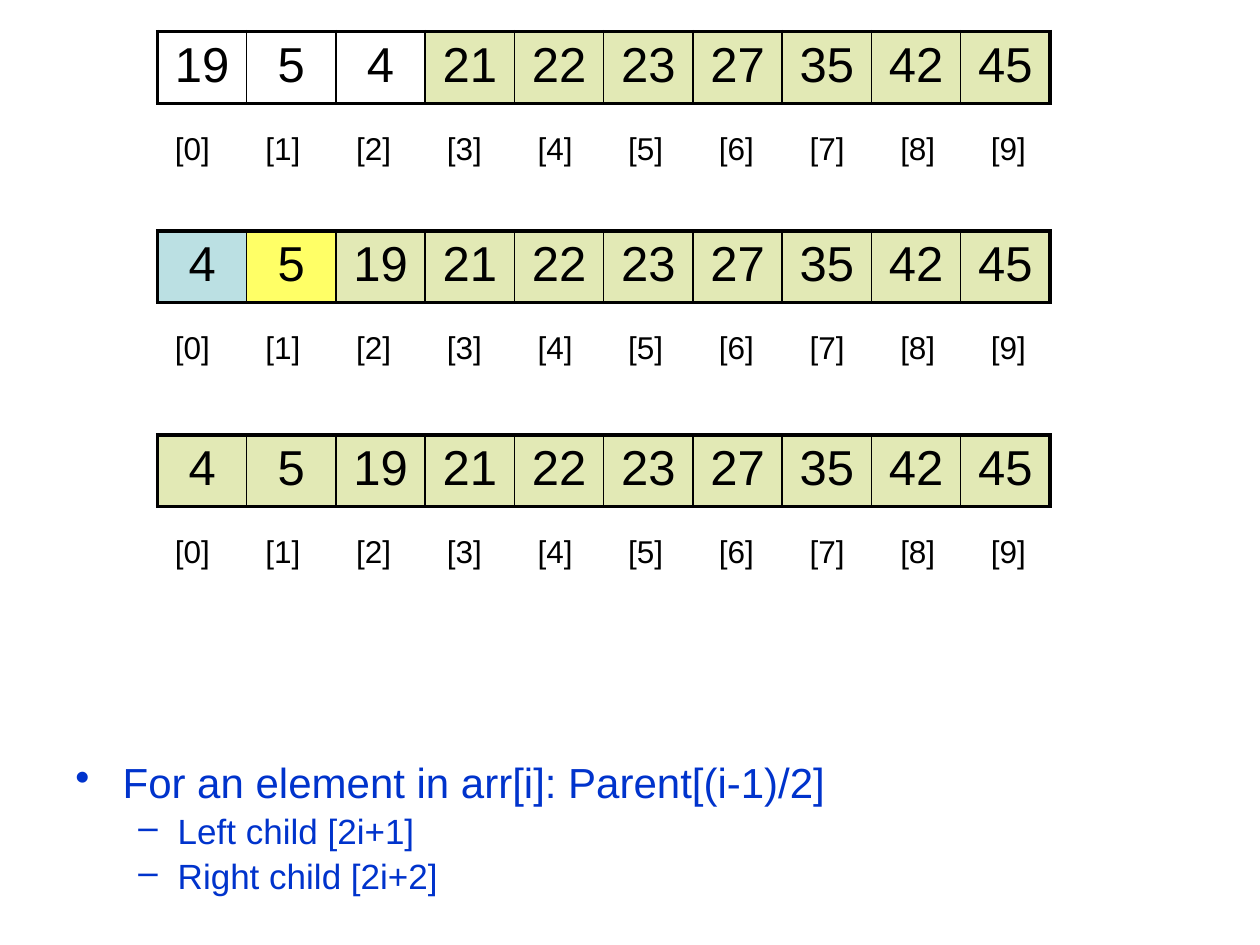
from lxml import etree
from pptx import Presentation
from pptx.dml.color import RGBColor
from pptx.enum import text
from pptx.oxml import ns
from pptx.util import Pt

COLORS = {
    "ink": "000000",
    "blue": "0033CC",
    "sorted": "E2E9B5",
    "root": "BBE0E3",
    "last": "FFFF66",
}
NO_STYLE = "{2D5ABB26-0587-4C30-8999-92F81FD0307C}"
THICK, THIN = 2.25, 1

SORTED_TAIL = [21, 22, 23, 27, 35, 42, 45]
# Top of each array, its first three values and their fills
STEPS = [
    (18, [19, 5, 4], [None, None, None]),
    (132, [4, 5, 19], ["root", "last", "sorted"]),
    (248.5, [4, 5, 19], ["sorted", "sorted", "sorted"]),
]
INDEX_OFFSET = 53
# Text, level, size, left margin, hanging indent, bullet
RULES = [
    ("For an element in arr[i]: Parent[(i-1)/2]", 0, 24, 27, 27, "•"),
    ("Left child [2i+1]", 1, 20, 58.5, 22.5, "–"),
    ("Right child [2i+2]", 1, 20, 58.5, 22.5, "–"),
]


def write(paragraph, words, size, color="ink", align=None):
    paragraph.alignment = align
    run = paragraph.add_run()
    run.text = words
    run.font.name = "Arial"
    run.font.size = Pt(size)
    run.font.color.rgb = RGBColor.from_string(COLORS[color])


def set_bullet(paragraph, margin, hanging, character):
    properties = paragraph._p.get_or_add_pPr()
    properties.set("marL", str(Pt(margin)))
    properties.set("indent", str(-Pt(hanging)))
    bullet = etree.SubElement(properties, ns.qn("a:buChar"))
    bullet.set("char", character)


def set_borders(cell, **widths):
    """Draw solid borders; keywords are L, R, T and B, in schema order."""
    properties = cell._tc.get_or_add_tcPr()
    for side, width in widths.items():
        line = etree.SubElement(properties, ns.qn(f"a:ln{side}"), w=str(Pt(width)))
        fill = etree.SubElement(line, ns.qn("a:solidFill"))
        etree.SubElement(fill, ns.qn("a:srgbClr"), val=COLORS["ink"])


def add_row(slide, left, top, column_width, height, words, size):
    """Add a plain one-row table and return its cells."""
    count = len(words)
    table = slide.shapes.add_table(
        1, count, Pt(left), Pt(top), Pt(column_width * count), Pt(height)
    ).table
    table.first_row = table.horz_banding = False
    table._tbl.tblPr.find(ns.qn("a:tableStyleId")).text = NO_STYLE
    for column in table.columns:
        column.width = Pt(column_width)
    cells = list(table.iter_cells())
    for cell, word in zip(cells, words):
        write(cell.text_frame.paragraphs[0], word, size, align=text.PP_ALIGN.CENTER)
    return cells


def add_array(slide, top, values, fills):
    cells = add_row(slide, 90, top, 51, 41, [str(value) for value in values], 28)
    for cell, fill in zip(cells, fills):
        set_borders(
            cell,
            L=THICK if cell is cells[0] else THIN,
            R=THICK if cell is cells[-1] else THIN,
            T=THICK,
            B=THICK,
        )
        if fill:
            cell.fill.solid()
            cell.fill.fore_color.rgb = RGBColor.from_string(COLORS[fill])
        else:
            cell.fill.background()


def add_indexes(slide, top, count):
    words = [f"[{index}]" for index in range(count)]
    for cell in add_row(slide, 84, top, 51.84, 28.8, words, 18):
        cell.vertical_anchor = text.MSO_ANCHOR.MIDDLE
        cell.fill.background()


def add_rules(slide):
    frame = slide.shapes.add_textbox(Pt(36), Pt(432), Pt(648), Pt(90)).text_frame
    frame.word_wrap = True
    for number, (words, level, size, margin, hanging, bullet) in enumerate(RULES):
        paragraph = frame.add_paragraph() if number else frame.paragraphs[0]
        set_bullet(paragraph, margin, hanging, bullet)
        paragraph.level = level
        paragraph.line_spacing = 0.9
        if number:
            paragraph.space_before = Pt(size * 0.2)
        write(paragraph, words, size, "blue")


def main():
    presentation = Presentation()
    presentation.slide_width, presentation.slide_height = Pt(720), Pt(540)
    slide = presentation.slides.add_slide(presentation.slide_layouts[6])
    for top, head, head_fills in STEPS:
        values = head + SORTED_TAIL
        add_array(slide, top, values, head_fills + ["sorted"] * len(SORTED_TAIL))
        add_indexes(slide, top + INDEX_OFFSET, len(values))
    add_rules(slide)
    presentation.save("out.pptx")


if __name__ == "__main__":
    main()
